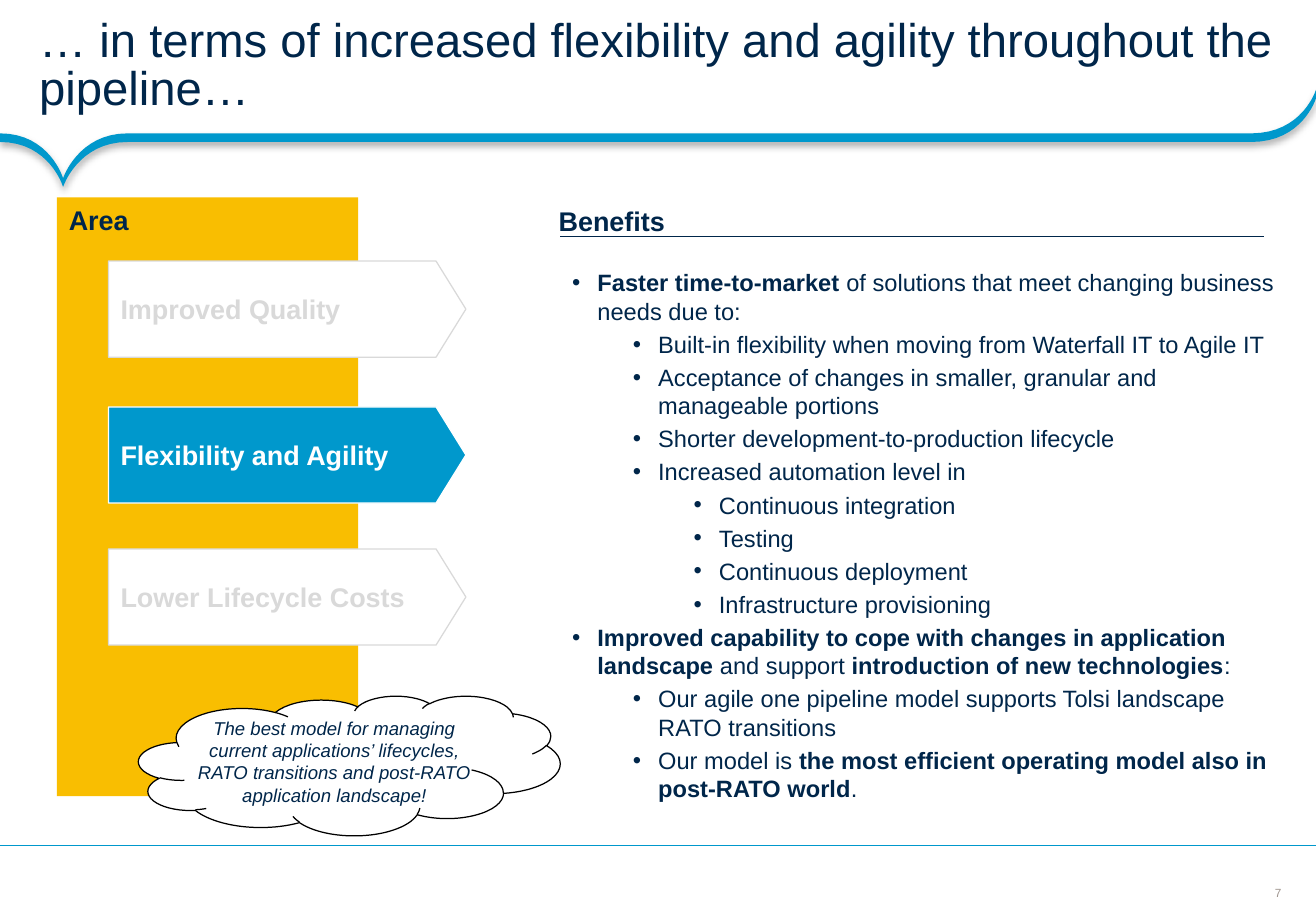
from lxml import etree
from pptx import Presentation
from pptx.dml.color import RGBColor
from pptx.enum.shapes import MSO_CONNECTOR, MSO_SHAPE
from pptx.enum.text import MSO_ANCHOR, MSO_AUTO_SIZE, PP_ALIGN
from pptx.oxml.ns import qn
from pptx.util import Cm, Pt

RECTANGLE, ARROW, CLOUD = MSO_SHAPE.RECTANGLE, MSO_SHAPE.PENTAGON, MSO_SHAPE.CLOUD
STRAIGHT = MSO_CONNECTOR.STRAIGHT
TOP, MIDDLE = MSO_ANCHOR.TOP, MSO_ANCHOR.MIDDLE
LEFT, CENTER = PP_ALIGN.LEFT, PP_ALIGN.CENTER
NO_FIT = MSO_AUTO_SIZE.NONE

COLORS = {
    "navy": "00264A", "blue": "0098CC", "yellow": "F9BE01", "white": "FFFFFF",
    "faded": "D9D9D9", "number": "9F958F", "black": "000000",
}
FONT = "Arial"
WIDTH, HEIGHT = 27.51, 19.05
HANGING, LEVEL_STEP = 0.53, 1.27

# Start point, then the three control points of each curve
BAND_START = (26.16, 2.79)
BAND_CURVES = [
    [(2.67, 2.79), (2.67, 2.79), (2.67, 2.79)],
    [(1.63, 2.79), (1.32, 3.73), (1.32, 3.73)],
    [(1.32, 3.73), (1.04, 2.79), (0, 2.79)],
    [(0, 2.97), (0, 2.97), (0, 2.97)],
    [(1.04, 2.97), (1.32, 3.91), (1.32, 3.91)],
    [(1.32, 3.91), (1.63, 2.97), (2.67, 2.97)],
    [(26.16, 2.97), (26.16, 2.97), (26.16, 2.97)],
    [(27.23, 2.97), (WIDTH, 2.06), (WIDTH, 2.06)],
    [(WIDTH, 1.88), (WIDTH, 1.88), (WIDTH, 1.88)],
    [(WIDTH, 1.88), (27.23, 2.79), (26.16, 2.79)],
]

# Label, top, fill, colour of outline, colour of text
AREAS = [
    ("Improved Quality", 5.46, "white", "faded", "faded"),
    ("Flexibility and Agility", 8.51, "blue", "white", "white"),
    ("Lower Lifecycle Costs", 11.48, "white", "faded", "faded"),
]

# Level and text; asterisks enclose bold words
BENEFITS = [
    (0, "*Faster time-to-market *of solutions that meet changing business needs due to:"),
    (1, "Built-in flexibility when moving from Waterfall IT to Agile IT"),
    (1, "Acceptance of changes in smaller, granular and manageable portions"),
    (1, "Shorter development-to-production lifecycle"),
    (1, "Increased automation level in"),
    (2, "Continuous integration"),
    (2, "Testing"),
    (2, "Continuous deployment"),
    (2, "Infrastructure provisioning"),
    (0, "*Improved capability to cope with changes in application landscape* and support "
        "*introduction of new technologies*:"),
    (1, "Our agile one pipeline model supports Tolsi landscape RATO transitions"),
    (1, "Our model is *the most efficient operating model also in post-RATO world*."),
]


def rgb(color):
    return RGBColor.from_string(COLORS[color])


def write(paragraph, text, size=16, color="navy", bold=False, italic=False, align=LEFT):
    """Fill a paragraph; parts between asterisks are bold."""
    paragraph.alignment = align
    for index, part in enumerate(text.split("*")):
        if part:
            run = paragraph.add_run()
            run.text = part
            run.font.name, run.font.size = FONT, Pt(size)
            run.font.bold, run.font.italic = bold or index % 2 == 1, italic
            run.font.color.rgb = rgb(color)


def set_frame(frame, anchor=TOP, insets=(0.25, 0.13, 0.25, 0.13), wrap=True):
    frame.word_wrap, frame.auto_size = wrap, NO_FIT
    frame.vertical_anchor = anchor
    (frame.margin_left, frame.margin_top,
     frame.margin_right, frame.margin_bottom) = map(Cm, insets)
    return frame


def add_bullet(paragraph, level):
    paragraph.level = level
    properties = paragraph._p.get_or_add_pPr()
    properties.set("marL", str(Cm(HANGING + level * LEVEL_STEP)))
    properties.set("indent", str(-Cm(HANGING)))
    etree.SubElement(properties, qn("a:buFont")).set("typeface", FONT)
    etree.SubElement(properties, qn("a:buChar")).set("char", "•")


def curve_points(start, curves, steps=16):
    """Turn cubic curves into a list of points."""
    points = []
    for first, second, end in curves:
        count = 1 if first == second == end else steps
        for step in range(1, count + 1):
            t = step / count
            points.append(tuple(
                (1 - t) ** 3 * a + 3 * (1 - t) ** 2 * t * b + 3 * (1 - t) * t ** 2 * c + t ** 3 * d
                for a, b, c, d in zip(start, first, second, end)))
        start = end
    return points


class SlideBuilder:
    def __init__(self, presentation):
        self.slide = presentation.slides.add_slide(presentation.slide_layouts[5])
        self.shapes = self.slide.shapes

    def title(self, text, box):
        title = self.shapes.title
        title.left, title.top, title.width, title.height = map(Cm, box)
        frame = set_frame(title.text_frame, MIDDLE, (0.82, 0.1, 0.46, 0.1))
        frame.paragraphs[0].line_spacing = 0.85
        write(frame.paragraphs[0], text, size=28)

    def paint(self, shape, fill, outline=None):
        shape.shadow.inherit = False
        shape.fill.solid()
        shape.fill.fore_color.rgb = rgb(fill)
        if outline:
            shape.line.color.rgb = rgb(outline)
            shape.line.width = Pt(0.75)
        else:
            shape.line.fill.background()

    def band(self, start, curves):
        builder = self.shapes.build_freeform(Cm(start[0]), Cm(start[1]))
        builder.add_line_segments([(Cm(x), Cm(y)) for x, y in curve_points(start, curves)])
        band = builder.convert_to_shape()
        self.paint(band, "blue")
        effects = band._element.spPr.find(qn("a:effectLst"))
        shadow = etree.SubElement(effects, qn("a:outerShdw"), blurRad=str(Pt(4)),
                                  dist=str(Pt(2)), dir="5400000", rotWithShape="0")
        shade = etree.SubElement(shadow, qn("a:srgbClr"), val=COLORS["black"])
        etree.SubElement(shade, qn("a:alpha"), val="31000")

    def line(self, left, right, y, color):
        line = self.shapes.add_connector(STRAIGHT, Cm(left), Cm(y), Cm(right), Cm(y))
        line.line.color.rgb = rgb(color)
        line.line.width = Pt(0.75)
        etree.SubElement(line._element.spPr, qn("a:effectLst"))

    def shape(self, kind, box, text, fill, outline=None, frame=None, **text_format):
        shape = self.shapes.add_shape(kind, *map(Cm, box))
        self.paint(shape, fill, outline)
        write(set_frame(shape.text_frame, **(frame or {})).paragraphs[0], text, **text_format)
        return shape

    def text(self, box, text, frame=None, **text_format):
        label = self.shapes.add_textbox(*map(Cm, box))
        write(set_frame(label.text_frame, **(frame or {})).paragraphs[0], text, **text_format)

    def bullets(self, box, items):
        frame = set_frame(self.shapes.add_textbox(*map(Cm, box)).text_frame)
        for index, (level, text) in enumerate(items):
            paragraph = frame.add_paragraph() if index else frame.paragraphs[0]
            paragraph.space_before = Pt(2.8 if index else 0)
            add_bullet(paragraph, level)
            write(paragraph, text, size=14)


def main():
    presentation = Presentation()
    presentation.slide_width, presentation.slide_height = Cm(WIDTH), Cm(HEIGHT)
    page = SlideBuilder(presentation)

    page.text((26.57, 18.52, 0.3, 0.3), "7", size=7, color="number", align=CENTER,
              frame={"anchor": MIDDLE, "insets": (0, 0, 0, 0), "wrap": False})
    page.band(BAND_START, BAND_CURVES)
    page.line(WIDTH, 0, 17.68, "blue")
    page.title("… in terms of increased flexibility and agility throughout the pipeline…",
               (0, 0, WIDTH, 2.79))

    page.shape(RECTANGLE, (1.19, 4.13, 6.3, 12.52), "Area", "yellow", bold=True)
    for label, top, fill, outline, color in AREAS:
        arrow = page.shape(ARROW, (2.27, top, 7.47, 2.01), label, fill, outline,
                           frame={"anchor": MIDDLE}, color=color, bold=True)
        arrow.adjustments[0] = 0.31

    page.bullets((11.71, 5.48, 15.27, 3.89), BENEFITS)
    page.line(11.71, 26.42, 4.95, "navy")
    page.text((11.43, 4.14, 2.74, 0.94), "Benefits", frame={"wrap": False}, bold=True)
    page.shape(CLOUD, (2.9, 14.55, 8.81, 2.92),
               "The best model for managing current applications’ lifecycles, "
               "RATO transitions and post-RATO application landscape!",
               "white", "black", frame={"insets": (0, 0, 0, 0)},
               size=11, italic=True, align=CENTER)
    presentation.save("out.pptx")


if __name__ == "__main__":
    main()
